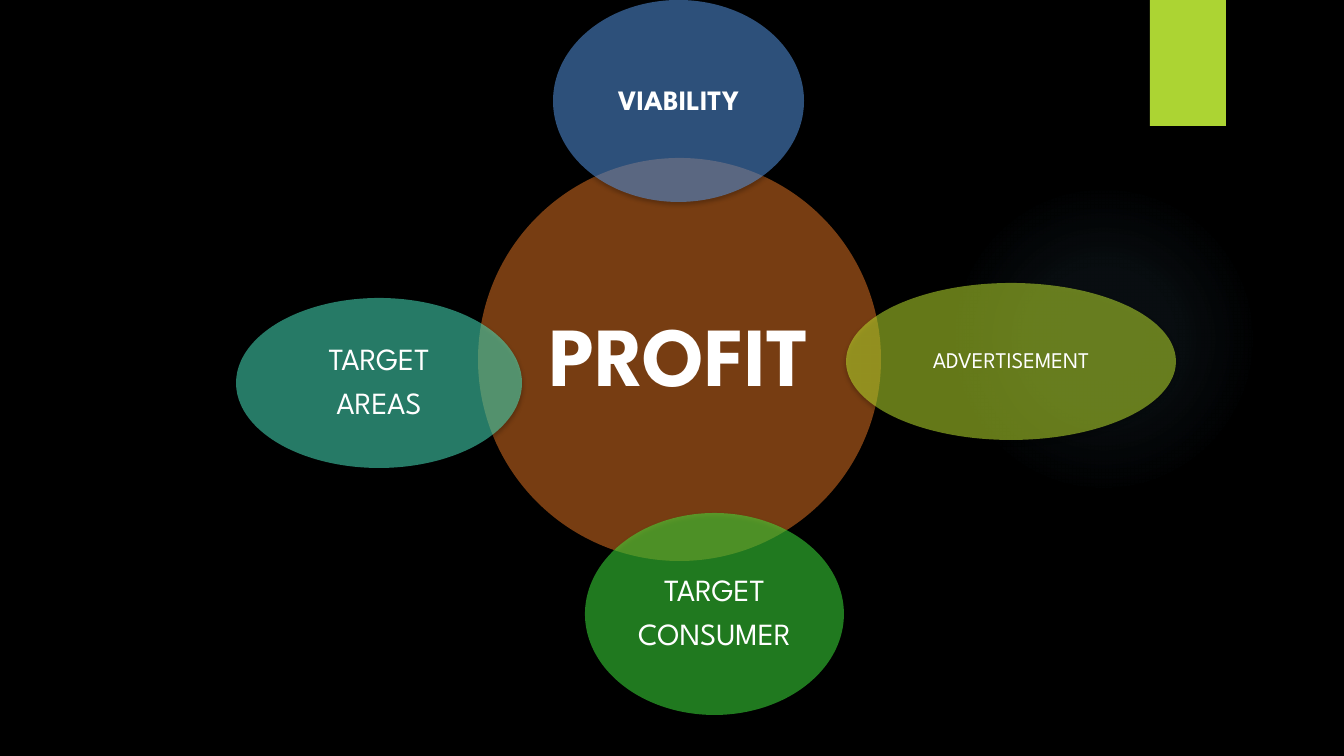
from lxml import etree
from pptx import Presentation
from pptx import util as u
from pptx.dml.color import RGBColor
from pptx.enum import shapes, text
from pptx.oxml import ns

PX = 914400 / 100.8
SLIDE = (1344, 756)
FONT = "League Spartan"
GLOW = ((949, 184, 310, 310), "7AC4F0", ((0, 7), (36, 6), (69, 0)))
TAB = ((1150, 0, 76, 126), "ACD433")
CIRCLES = [
    ((478, 158, 403, 403), "EF7A24", ["PROFIT"], 60, True, 8),
    ((846, 283, 330, 157), "C9F131", ["ADVERTISEMENT"], 16, False, 2),
    ((585, 513, 259, 202), "41F23F", ["TARGET", "CONSUMER"], 22, False, 3),
    ((236, 298, 286, 170), "4CF4CD", ["TARGET", "AREAS"], 22, False, 3),
    ((553, 0, 251, 202), "5AA0F5", ["VIABILITY"], 20, True, 3),
]


def px(n):
    return u.Emu(round(n * PX))


def rgb(value):
    return RGBColor.from_string(value)


def child(parent, tag, **attrs):
    return etree.SubElement(parent, ns.qn(tag), {k: str(v) for k, v in attrs.items()})


def add_alpha(color, percent):
    child(color, "a:alpha", val=percent * 1000)


def add_shape(kind, box, color):
    sp = slide.shapes.add_shape(kind, *map(px, box))
    sp.fill.solid()
    sp.fill.fore_color.rgb = rgb(color)
    sp.line.fill.background()
    sp.shadow.inherit = False
    return sp


def add_shadow(sp):
    effects = sp._element.spPr.find(ns.qn("a:effectLst"))
    shadow = child(effects, "a:outerShdw", blurRad=u.Pt(3), dist=u.Pt(2),
                   dir=5400000, rotWithShape=0)
    add_alpha(child(shadow, "a:srgbClr", val="000000"), 45)


def add_glow(box, color, stops):
    sp = add_shape(shapes.MSO_SHAPE.OVAL, box, color)
    solid = sp._element.spPr.find(ns.qn("a:solidFill"))
    grad = etree.Element(ns.qn("a:gradFill"), rotWithShape="1")
    stop_list = child(grad, "a:gsLst")
    for pos, alpha in stops:
        stop = child(stop_list, "a:gs", pos=pos * 1000)
        add_alpha(child(stop, "a:srgbClr", val=color), alpha)
    centre = child(grad, "a:path", path="circle")
    child(centre, "a:fillToRect", l=50000, t=50000, r=50000, b=50000)
    solid.getparent().replace(solid, grad)


def add_circle(box, color, lines, size, bold, inset):
    sp = add_shape(shapes.MSO_SHAPE.OVAL, box, color)
    add_alpha(sp._element.spPr.find(ns.qn("a:solidFill"))[0], 50)
    add_shadow(sp)
    tf = sp.text_frame
    tf.word_wrap = True
    tf.vertical_anchor = text.MSO_ANCHOR.MIDDLE
    tf.margin_left = tf.margin_right = tf.margin_top = tf.margin_bottom = px(inset)
    tf.text = "\n".join(lines)
    for p in tf.paragraphs:
        p.alignment = text.PP_ALIGN.CENTER
        p.line_spacing = 0.9
        p.space_after = u.Pt(0)
        after = p._p.pPr.find(ns.qn("a:spcAft"))
        after.remove(after[0])
        child(after, "a:spcPct", val=35000)
        font = p.runs[0].font
        font.name, font.size, font.bold = FONT, u.Pt(size), bold
        font.color.rgb = rgb("FFFFFF")


prs = Presentation()
prs.slide_width, prs.slide_height = map(px, SLIDE)
slide = prs.slides.add_slide(prs.slide_layouts[6])
slide.background.fill.solid()
slide.background.fill.fore_color.rgb = rgb("000000")
add_glow(*GLOW)
add_shadow(add_shape(shapes.MSO_SHAPE.RECTANGLE, *TAB))
for circle in CIRCLES:
    add_circle(*circle)
prs.save("out.pptx")
